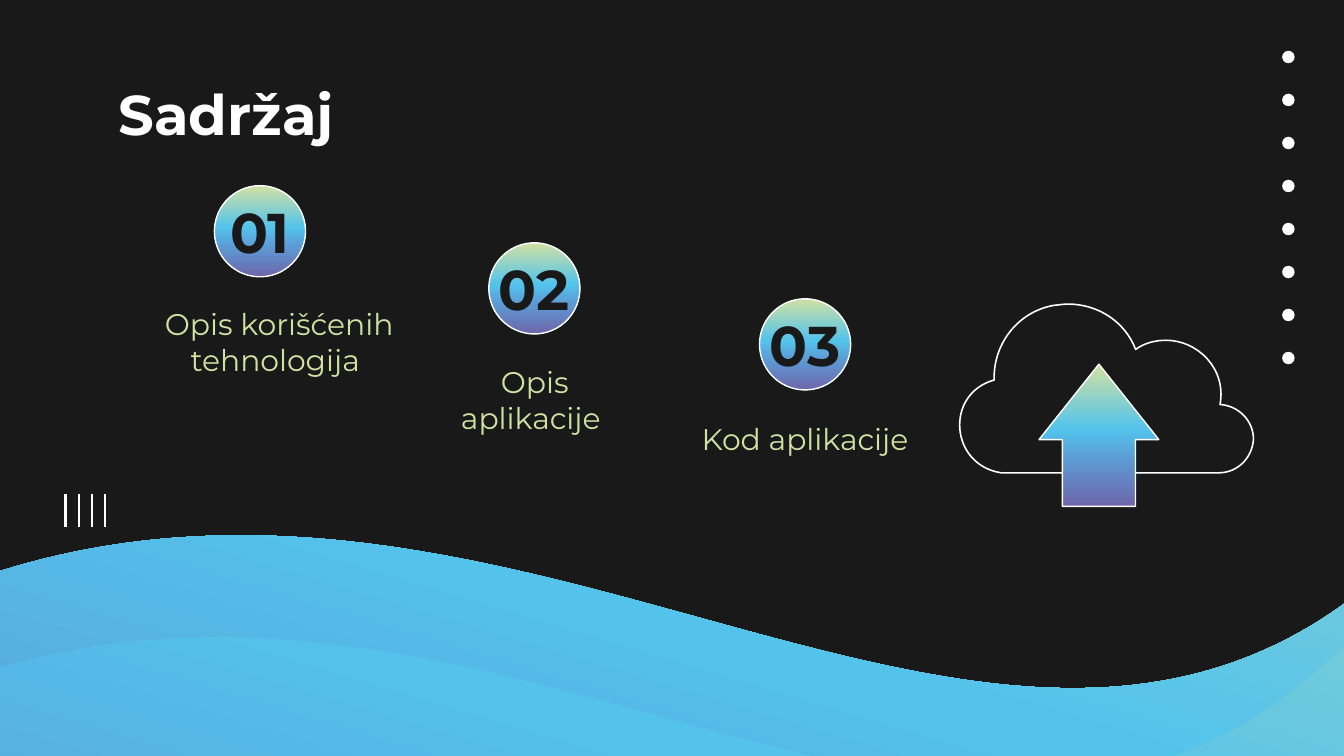
"""Build the table-of-contents slide with its waves, numbered steps and upload cloud."""
from dataclasses import dataclass
from math import cos, radians, sin
from typing import Any, NamedTuple

from lxml.etree import SubElement
from pptx import Presentation
from pptx.dml.color import RGBColor
from pptx.enum.shapes import MSO_CONNECTOR as Connector, MSO_SHAPE as Shape
from pptx.enum.text import MSO_ANCHOR as Anchor, MSO_AUTO_SIZE as AutoSize, PP_ALIGN as Align
from pptx.oxml.ns import qn
from pptx.util import Pt

Point = tuple[float, float]
Outline = list[tuple[float, ...]]


@dataclass(frozen=True)
class Theme:
    """Colours, font and type sizes of the slide."""

    font: str = "Montserrat"
    dark: str = "191919"
    white: str = "FFFFFF"
    green: str = "D0E1A3"
    gradient: tuple = ((0, "D0E1A3"), (46, "53C3EC"), (66, "5C9CD5"), (100, "6E66AB"))
    heading_size: float = 30
    label_size: float = 16
    thin: float = 0.75
    cloud_line: float = 0.85
    bar_line: float = 1.5


class Box(NamedTuple):
    """A rectangle in points."""

    left: float
    top: float
    width: float
    height: float


class Step(NamedTuple):
    """A numbered entry: a circle by centre and top, and its label box."""

    number: str
    label: str
    center: float
    top: float
    label_box: Box


THEME = Theme()
CIRCLE = 48.8
NUMBER_WIDTH = 69
WAVE_ANGLE = 16.7

STEPS = [
    Step("01", "Opis korišćenih tehnologija ", 139.3, 99.5, Box(66.8, 156.7, 165.6, 36)),
    Step("02", "Opis aplikacije ", 286.3, 130.1, Box(222.5, 187.8, 128, 36)),
    Step("03", "Kod aplikacije", 431.3, 160.1, Box(366.5, 218.2, 129.6, 36)),
]

WAVES: list[Outline] = [
    [
        (890.6, 223.9), (844.6, 231.8, 782.6, 270, 739.4, 308.2),
        (517.7, 501.1, 233.3, 153.4, -94.3, 348.5), (-151.2, 538.6), (124.6, 620.6),
        (200.2, 571.7, 537.8, 540.7, 602.6, 545.8), (902.2, 568.8, 920.2, 605.5, 986.4, 609.8),
    ],
    [
        (861.8, 264.2), (816.5, 273.6, 755.3, 314.6, 712.1, 354.2),
        (489.6, 557.3, 214.6, 202.3, -111.6, 409), (-170.6, 606.2), (100.1, 687.6),
        (175, 635.8, 509, 598.3, 573.1, 602.6), (868.3, 621.4, 885.6, 659.5, 950.4, 663.1),
    ],
]

CLOUD: Outline = [
    (572.2, 162.9), (569.3, 162.9, 567.2, 163.4, 564.5, 163.6),
    (545.6, 167, 532.6, 183.6, 532.6, 202.3), (532.6, 203.6),
    (506, 211, 508.8, 249.1, 536.4, 253.3), (652.8, 253.3),
    (662.9, 253.3, 670.8, 245.5, 671.5, 235.4), (671.5, 225.4, 663.6, 217.4, 653.6, 216.7),
    (657.2, 197.3, 641.3, 182.3, 624.8, 182.3), (619, 182.3, 613.2, 183.7, 608.4, 187.2),
    (602.6, 172.1, 588, 162.9, 572.2, 162.9),
]


def apply_format(target: Any, values: dict[str, Any]) -> None:
    """Set each named attribute on the target."""
    for name, value in values.items():
        setattr(target, name, value)


def paint_gradient(shape: Any) -> None:
    """Fill a shape with the theme gradient, running downwards."""
    shape.fill.gradient()
    shape.fill.gradient_angle = 270
    stops = shape._element.spPr.find(qn("a:gradFill")).find(qn("a:gsLst"))
    stops.clear()
    for position, color in THEME.gradient:
        stop = SubElement(stops, qn("a:gs"), pos=str(position * 1000))
        SubElement(stop, qn("a:srgbClr"), val=color)


def draw_line(line: Any, width: float) -> None:
    """Give an outline or connector a white stroke."""
    line.color.rgb = RGBColor.from_string(THEME.white)
    line.width = Pt(width)


def pairs(segment: tuple[float, ...]) -> list[Point]:
    """Split a segment into its points."""
    return list(zip(segment[::2], segment[1::2]))


def flatten(outline: Outline, count: int = 100) -> list[Point]:
    """Sample line and cubic curve segments to find their extent."""
    points: list[Point] = [outline[0]]
    for segment in outline[1:]:
        if len(segment) == 2:
            points.append(segment)
            continue
        controls = [points[-1], *pairs(segment)]
        for index in range(1, count + 1):
            t = index / count
            weights = ((1 - t) ** 3, 3 * t * (1 - t) ** 2, 3 * t * t * (1 - t), t**3)
            points.append(tuple(sum(w * p[axis] for w, p in zip(weights, controls)) for axis in (0, 1)))
    return points


def rotate(point: Point, degrees: float) -> Point:
    """Turn a point clockwise around the page corner."""
    (x, y), angle = point, radians(degrees)
    return x * cos(angle) - y * sin(angle), x * sin(angle) + y * cos(angle)


def add_outline(page: Any, outline: Outline) -> Any:
    """Draw a closed freeform with true curves."""
    corners = [(Pt(x), Pt(y)) for x, y in flatten(outline)]
    builder = page.shapes.build_freeform(*corners[0], scale=1.0)
    builder.add_line_segments(corners[1:], close=True)
    shape = builder.convert_to_shape()
    shape.shadow.inherit = False
    track = next(shape._element.iter(qn("a:path")))
    for step in list(track):
        track.remove(step)
    for index, segment in enumerate(outline):
        kind = "moveTo" if index == 0 else "lnTo" if len(segment) == 2 else "cubicBezTo"
        step = SubElement(track, qn(f"a:{kind}"))
        for x, y in pairs(segment):
            SubElement(step, qn("a:pt"), x=str(Pt(x) - shape.left), y=str(Pt(y) - shape.top))
    SubElement(track, qn("a:close"))
    return shape


def add_wave(page: Any, outline: Outline) -> None:
    """Draw a wave whose gradient is tilted along with its shape."""
    level = [sum((rotate(point, -WAVE_ANGLE) for point in pairs(segment)), ()) for segment in outline]
    wave = add_outline(page, level)
    x, y = rotate((wave.left + wave.width / 2, wave.top + wave.height / 2), WAVE_ANGLE)
    apply_format(wave, {
        "left": int(x - wave.width / 2), "top": int(y - wave.height / 2), "rotation": WAVE_ANGLE,
    })
    paint_gradient(wave)
    wave.line.fill.background()


def add_preset(page: Any, kind: Shape, box: Box) -> Any:
    """Add a preset shape without a shadow."""
    shape = page.shapes.add_shape(kind, *map(Pt, box))
    shape.shadow.inherit = False
    return shape


def add_dot(page: Any, box: Box) -> None:
    """Add a plain white dot."""
    dot = add_preset(page, Shape.OVAL, box)
    dot.fill.solid()
    dot.fill.fore_color.rgb = RGBColor.from_string(THEME.white)
    dot.line.fill.background()


def add_bar(page: Any, x: float) -> None:
    """Add one short vertical bar."""
    bar = page.shapes.add_connector(Connector.STRAIGHT, Pt(x), Pt(264.7), Pt(x), Pt(282.2))
    draw_line(bar.line, THEME.bar_line)
    SubElement(bar._element.spPr, qn("a:effectLst"))


def write(shape: Any, text: str, size: float, color: str, bold: bool = False,
          align: Align = Align.CENTER, anchor: Anchor = Anchor.TOP) -> None:
    """Put one formatted paragraph into a shape."""
    margins = {f"margin_{side}": Pt(7.2) for side in ("left", "top", "right", "bottom")}
    apply_format(shape.text_frame, {
        "text": text, "word_wrap": True, "auto_size": AutoSize.NONE, "vertical_anchor": anchor, **margins,
    })
    para = shape.text_frame.paragraphs[0]
    para.alignment = align
    span = para.runs[0]
    apply_format(span.font, {"name": THEME.font, "size": Pt(size), "bold": bold})
    span.font.color.rgb = RGBColor.from_string(color)


def add_step(page: Any, step: Step) -> None:
    """Draw a numbered circle with its label below."""
    circle = add_preset(page, Shape.OVAL, Box(step.center - CIRCLE / 2, step.top, CIRCLE, CIRCLE))
    paint_gradient(circle)
    draw_line(circle.line, THEME.thin)
    number_box = Box(step.center - NUMBER_WIDTH / 2, step.top + 2.8, NUMBER_WIDTH, 43.2)
    number = page.shapes.add_textbox(*map(Pt, number_box))
    write(number, step.number, THEME.heading_size, THEME.dark, bold=True, anchor=Anchor.MIDDLE)
    label = page.shapes.add_textbox(*map(Pt, step.label_box))
    write(label, step.label, THEME.label_size, THEME.green)


def add_upload_cloud(page: Any) -> None:
    """Draw the cloud outline and the upward arrow."""
    cloud = add_outline(page, CLOUD)
    cloud.fill.background()
    draw_line(cloud.line, THEME.cloud_line)
    arrow = add_preset(page, Shape.UP_ARROW, Box(556.6, 195.1, 64.2, 76.2))
    arrow.adjustments[0], arrow.adjustments[1] = 0.61, 0.63
    paint_gradient(arrow)
    draw_line(arrow.line, THEME.thin)


def main() -> None:
    """Assemble and save the deck."""
    deck = Presentation()
    apply_format(deck, {"slide_width": Pt(720), "slide_height": Pt(405)})
    page = deck.slides.add_slide(deck.slide_layouts[5])
    page.background.fill.solid()
    page.background.fill.fore_color.rgb = RGBColor.from_string(THEME.dark)
    title = page.shapes.title
    title_box = Box(56.2, 35.3, 576, 56.9)
    apply_format(title, {name: Pt(value) for name, value in title_box._asdict().items()})
    write(title, "Sadržaj", THEME.heading_size, THEME.white, bold=True, align=Align.LEFT)
    for outline in WAVES:
        add_wave(page, outline)
    for index in range(8):
        add_dot(page, Box(686.9, 27.2 + 23.04 * index, 6.7, 6.7))
    for index in range(4):
        add_bar(page, 35.3 + 7 * index)
    for step in STEPS:
        add_step(page, step)
    add_upload_cloud(page)
    deck.save("out.pptx")


if __name__ == "__main__":
    main()
